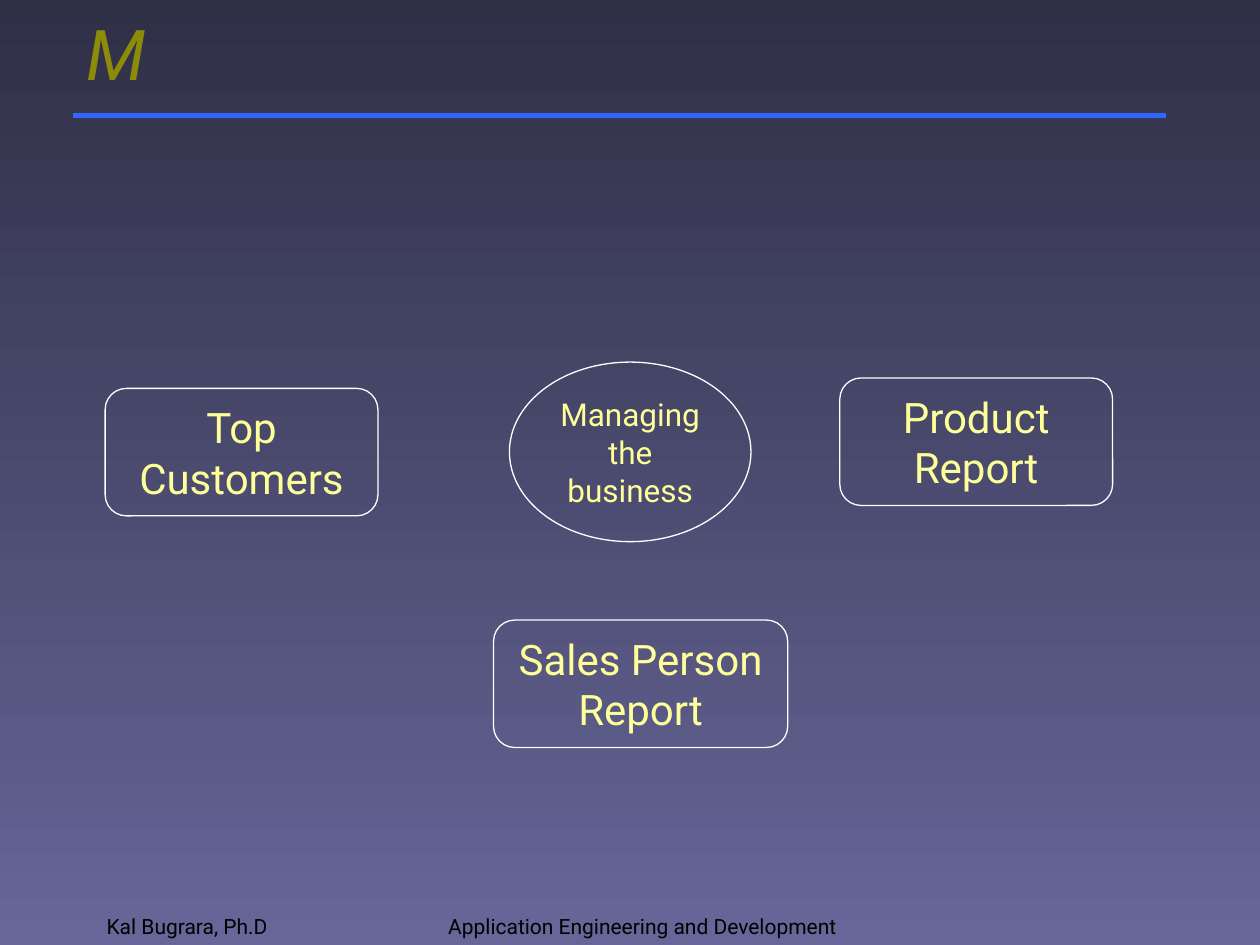
from dataclasses import dataclass

from lxml import etree
from pptx import Presentation
from pptx.dml.color import RGBColor
from pptx.enum.shapes import MSO_CONNECTOR, MSO_SHAPE
from pptx.enum.text import MSO_ANCHOR, MSO_AUTO_SIZE, PP_ALIGN
from pptx.oxml.ns import qn
from pptx.slide import Slide
from pptx.text.text import TextFrame
from pptx.util import Cm, Pt

STRAIGHT = MSO_CONNECTOR.STRAIGHT
ROUND = MSO_SHAPE.ROUNDED_RECTANGLE
OVAL = MSO_SHAPE.FLOWCHART_CONNECTOR
LEFT, CENTER = PP_ALIGN.LEFT, PP_ALIGN.CENTER
MIDDLE, BOTTOM = MSO_ANCHOR.MIDDLE, MSO_ANCHOR.BOTTOM
FIXED = MSO_AUTO_SIZE.NONE

FONT = "Roboto"
COLORS = {
    "top": "2F2F46",
    "base": "666699",
    "rule": "3366FF",
    "title": "8C8C08",
    "foot": "000000",
    "edge": "FFFFFF",
    "label": "FFFF99",
}


@dataclass
class Node:
    """A labelled outline; lengths in centimetres."""
    text: str
    left: float
    top: float
    width: float = 5.5
    height: float = 2.57
    kind: MSO_SHAPE = ROUND
    size: int = 24


@dataclass
class Foot:
    """A footer text; lengths in centimetres."""
    text: str
    left: float
    width: float
    align: PP_ALIGN = LEFT
    inset: float = 0.25


NODES = [
    Node("Top Customers", 2.12, 7.83),
    Node("Product Report", 16.93, 7.62),
    Node("Sales Person Report", 9.95, 12.5, width=5.93),
    Node("Managing the business", 10.27, 7.3, 4.87, 3.62, OVAL, 18),
]
FEET = [
    Foot("Kal Bugrara, Ph.D", 1.9, 5.29),
    Foot("Application Engineering and Development", 8.05, 15.24, CENTER, 5.68),
]


def rgb(name: str) -> RGBColor:
    return RGBColor.from_string(COLORS[name])


def write(frame: TextFrame, text: str, size: int, color: str,
          align: PP_ALIGN, anchor: MSO_ANCHOR, slant: bool = False) -> None:
    frame.text = text
    frame.word_wrap = True
    frame.auto_size = FIXED
    frame.vertical_anchor = anchor
    line = frame.paragraphs[0]
    line.alignment = align
    font = line.runs[0].font
    font.name, font.size, font.italic = FONT, Pt(size), slant
    font.color.rgb = rgb(color)


def paint_back(slide: Slide) -> None:
    fill = slide.background.fill
    fill.gradient()
    fill.gradient_angle = 270
    for stop, name, place in zip(fill.gradient_stops, ("top", "base"), (0, 1)):
        stop.color.rgb = rgb(name)
        stop.position = place


def draw_head(slide: Slide) -> None:
    """Place the title and the rule below it."""
    title = slide.shapes.title
    title.left, title.top = Cm(1.48), Cm(0)
    title.width, title.height = Cm(22.02), Cm(2.12)
    write(title.text_frame, "M", 40, "title", LEFT, MIDDLE, slant=True)
    rule = slide.shapes.add_connector(
        STRAIGHT, Cm(1.48), Cm(2.33), Cm(23.5), Cm(2.33))
    rule.line.color.rgb = rgb("rule")
    rule.line.width = Pt(3)
    etree.SubElement(rule._element.spPr, qn("a:effectLst"))


def draw_foot(slide: Slide, foot: Foot) -> None:
    box = slide.shapes.add_textbox(
        Cm(foot.left), Cm(17.78), Cm(foot.width), Cm(1.27))
    write(box.text_frame, foot.text, 12, "foot", foot.align, BOTTOM)
    box.text_frame.margin_right = Cm(foot.inset)


def draw_node(slide: Slide, node: Node) -> None:
    shape = slide.shapes.add_shape(
        node.kind, Cm(node.left), Cm(node.top), Cm(node.width), Cm(node.height))
    shape.shadow.inherit = False
    shape.fill.background()
    shape.line.color.rgb = rgb("edge")
    shape.line.width = Pt(0.75)
    write(shape.text_frame, node.text, node.size, "label", CENTER, MIDDLE)


def main() -> None:
    deck = Presentation()
    deck.slide_width, deck.slide_height = Cm(25.4), Cm(19.05)
    slide = deck.slides.add_slide(deck.slide_layouts[5])
    paint_back(slide)
    draw_head(slide)
    for foot in FEET:
        draw_foot(slide, foot)
    for node in NODES:
        draw_node(slide, node)
    deck.save("out.pptx")


if __name__ == "__main__":
    main()
